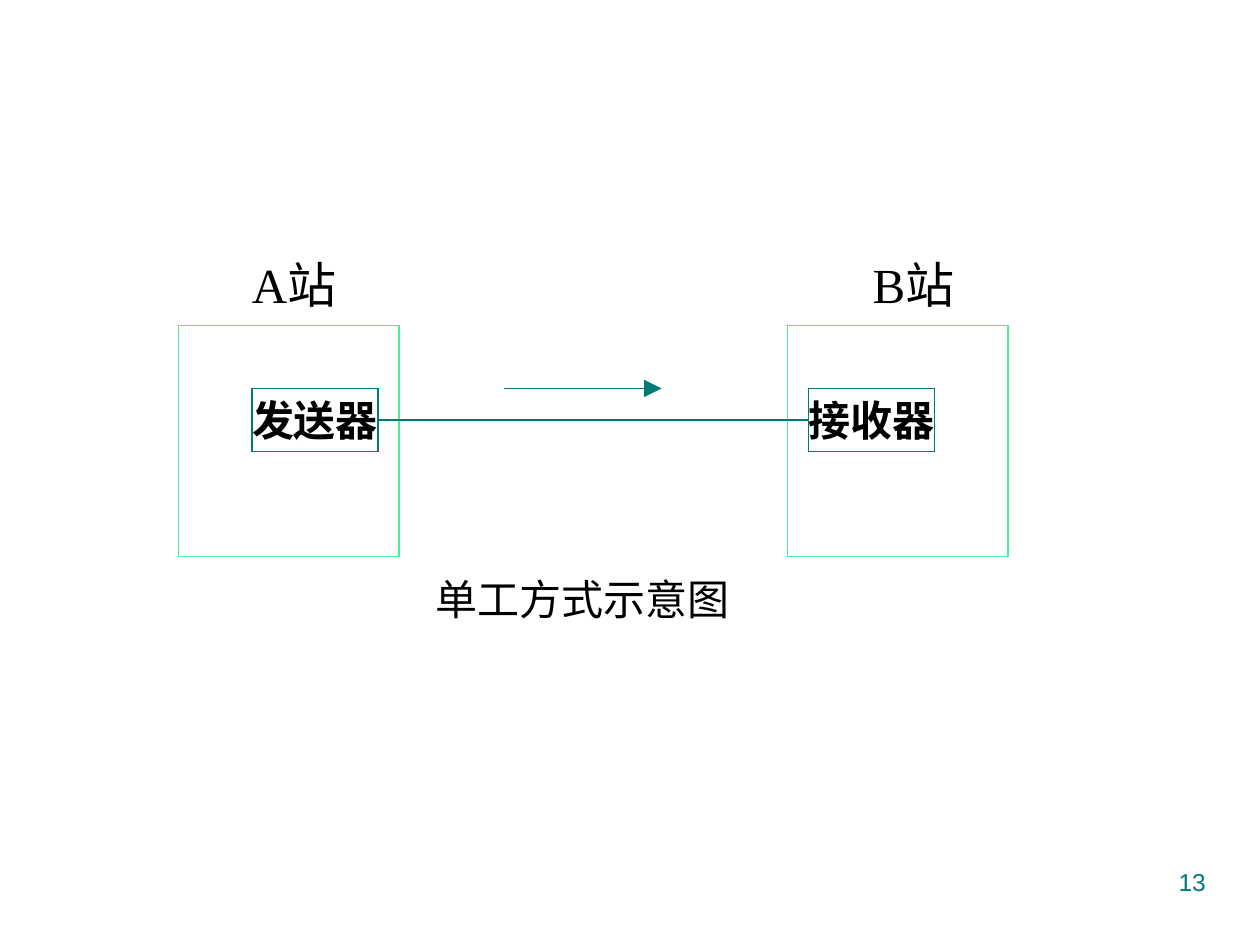
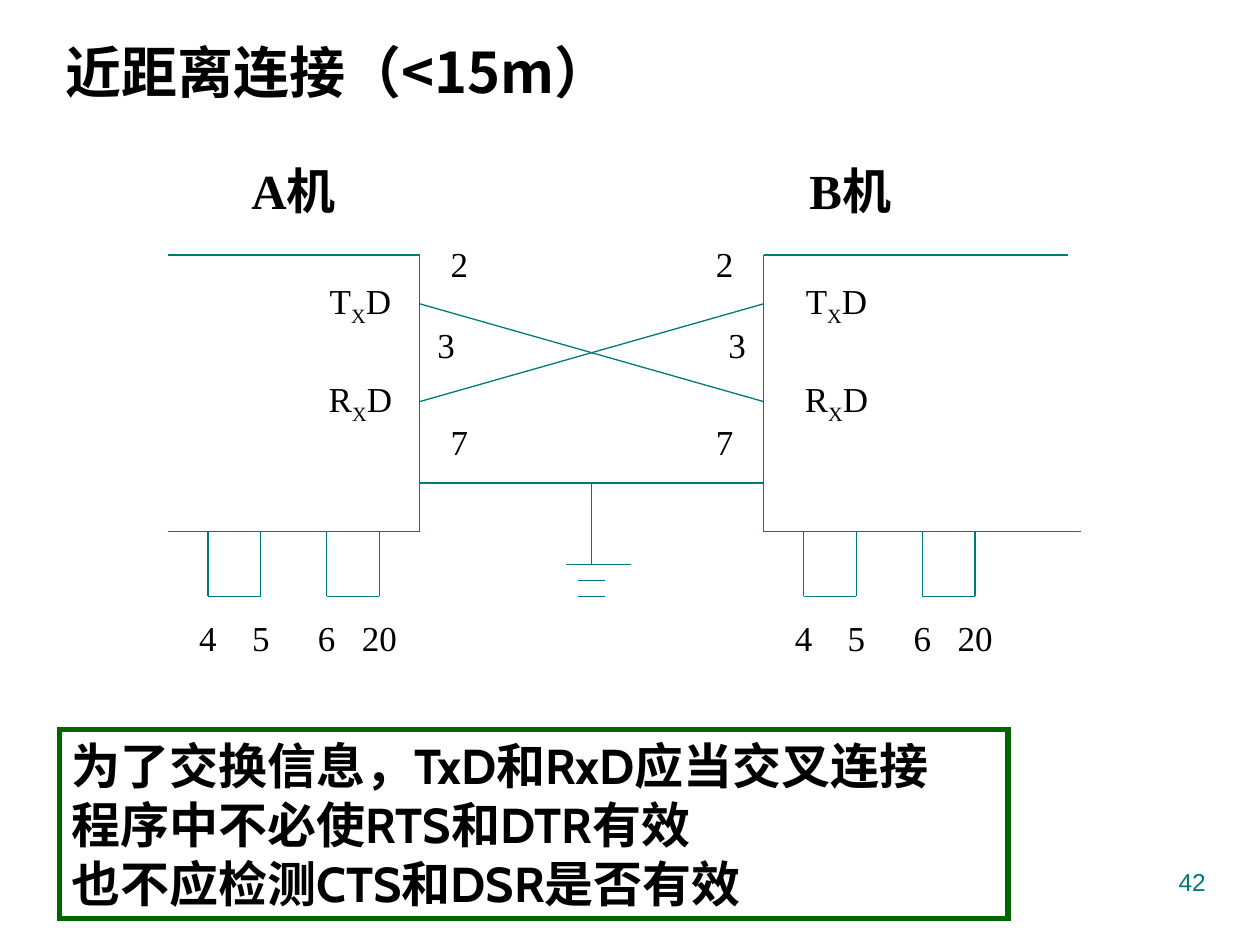
"""Build two serial communication slides: simplex mode and a short-distance link."""
from typing import NamedTuple

import pptx
import pptx.dml.color
import pptx.enum.lang
import pptx.enum.shapes
import pptx.enum.text
import pptx.oxml
import pptx.oxml.ns
import pptx.util

Pt = pptx.util.Pt
ALIGN = pptx.enum.text.PP_ALIGN
ANCHOR = pptx.enum.text.MSO_ANCHOR
COLORS = {"text": "000000", "teal": "007A77", "station": "49EF94", "frame": "006600"}
SERIF, SANS, LATIN, CJK = "Times New Roman", "Arial", "Cabin", "Noto Sans CJK SC"


class Box(NamedTuple):
    x: float
    y: float
    w: float
    h: float


class Station(NamedTuple):
    name: str
    label_x: float
    x: float
    device: str
    device_x: float


class Machine(NamedTuple):
    name: str
    name_x: float
    edge_x: float
    outer_top_x: float
    outer_bottom_x: float
    signal_x: float
    pin_x: float
    pin3_x: float
    loop_x: float


STATIONS = [
    Station("A站", 132, 102, "发送器", 144),
    Station("B站", 486, 450, "接收器", 462),
]
MACHINES = [
    Machine("A机", 141, 239.8, 96, 96, 179.3, 247.4, 239.8, 118.8),
    Machine("B机", 459.2, 436.4, 610.5, 618, 451.4, 398.9, 406.1, 459.2),
]
TOP, TXD, RXD, GROUND, BOTTOM, LOOP = 145.7, 173.6, 229.5, 276, 303.8, 340.8
LOOPS = [(0, "4", "5"), (67.8, "6", "20")]
LOOP_WIDTH = 30.2
LABEL_SLACK = 6
NOTES = [
    ["为了交换信息，", "TxD", "和", "RxD", "应当交叉连接"],
    ["程序中不必使", "RTS", "和", "DTR", "有效"],
    ["也不应检测", "CTS", "和", "DSR", "是否有效"],
]


def rgb(name: str):
    return pptx.dml.color.RGBColor.from_string(COLORS[name])


def make_xml(tag: str, attributes: str = ""):
    return pptx.oxml.parse_xml(f'<a:{tag} {pptx.oxml.ns.nsdecls("a")} {attributes}/>')


def add_run(p, text: str, *, size: float, font: str = SERIF, color: str = "text",
            bold: bool = False, baseline: int = 0):
    r = p.add_run()
    r.text = text
    r.font.size, r.font.name, r.font.bold = Pt(size), font, bold
    r.font.color.rgb = rgb(color)
    r.font.language_id = pptx.enum.lang.MSO_LANGUAGE_ID.SIMPLIFIED_CHINESE
    if baseline:
        r.font._element.set("baseline", str(baseline * 1000))
    return r


def add_label(slide, box: Box, text: str, **fmt):
    """Add a centred one-line label with slack on both sides of its box."""
    sp = slide.shapes.add_textbox(
        Pt(box.x - LABEL_SLACK), Pt(box.y), Pt(box.w + 2 * LABEL_SLACK), Pt(box.h))
    tf = sp.text_frame
    tf.word_wrap, tf.vertical_anchor = False, ANCHOR.MIDDLE
    tf.margin_left = tf.margin_right = 0
    p = tf.paragraphs[0]
    p.alignment = ALIGN.CENTER
    add_run(p, text, **fmt)
    return p


def add_rect(slide, box: Box, color: str, width: float = 0.75):
    sp = slide.shapes.add_shape(pptx.enum.shapes.MSO_SHAPE.RECTANGLE, *map(Pt, box))
    sp.shadow.inherit = False
    sp.fill.background()
    sp.line.color.rgb, sp.line.width = rgb(color), Pt(width)
    sp.line._get_or_add_ln().append(make_xml("miter", 'lim="800000"'))
    return sp


def add_line(slide, x1: float, y1: float, x2: float, y2: float, arrow: bool = False) -> None:
    sp = slide.shapes.add_connector(
        pptx.enum.shapes.MSO_CONNECTOR.STRAIGHT, Pt(x1), Pt(y1), Pt(x2), Pt(y2))
    sp.line.color.rgb, sp.line.width = rgb("teal"), Pt(0.75)
    if arrow:
        sp.line._get_or_add_ln().append(
            make_xml("tailEnd", 'type="triangle" w="lg" len="lg"'))
    sp._element.spPr.append(make_xml("effectLst"))


def add_page_number(slide, number: int) -> None:
    tf = slide.shapes.add_textbox(*map(Pt, Box(516.2, 492, 180, 37.5))).text_frame
    tf.word_wrap = True
    p = tf.paragraphs[0]
    p.alignment = ALIGN.RIGHT
    add_run(p, str(number), size=14, font=SANS, color="teal")


def add_title(slide, text: str) -> None:
    sp = slide.shapes.title
    sp.left, sp.top, sp.width, sp.height = map(Pt, Box(30, 18, 360, 84))
    tf = sp.text_frame
    tf.vertical_anchor = ANCHOR.TOP
    p = tf.paragraphs[0]
    p.alignment = ALIGN.LEFT
    add_run(p, text, size=32, font=CJK, bold=True)


def build_simplex(prs) -> None:
    slide = prs.slides.add_slide(prs.slide_layouts[6])
    for station in STATIONS:
        device = Box(station.device_x, 222, 72, 36)
        add_rect(slide, Box(station.x, 186, 126, 132), "station")
        add_rect(slide, device, "teal")
        add_label(slide, device, station.device, size=24, bold=True)
        add_label(slide, Box(station.label_x, 144, 72, 36), station.name, size=28)
    add_line(slide, 216, 240, 462, 240)
    add_line(slide, 288, 222, 378, 222, arrow=True)
    add_label(slide, Box(192, 324, 282, 36), "单工方式示意图", size=24)
    add_page_number(slide, 13)


def add_machine(slide, m: Machine) -> None:
    add_line(slide, m.outer_top_x, TOP, m.edge_x, TOP)
    add_line(slide, m.edge_x, TOP, m.edge_x, BOTTOM)
    add_line(slide, m.edge_x, BOTTOM, m.outer_bottom_x, BOTTOM)
    add_label(slide, Box(m.name_x, 90, 53.3, 37.4), m.name, size=28, bold=True)
    for letter, y in (("T", TXD), ("R", RXD)):
        p = add_label(slide, Box(m.signal_x, y - 18.7, 53.3, 37.4), letter, size=20)
        add_run(p, "X", size=20, baseline=-25)
        add_run(p, "D", size=20)
    for pin, x, y in (("2", m.pin_x, 136.4), ("3", m.pin3_x, 183), ("7", m.pin_x, 238.3)):
        add_label(slide, Box(x, y, 30.2, 28), pin, size=20)
    for offset, *pins in LOOPS:
        left = m.loop_x + offset
        add_line(slide, left, LOOP, left + LOOP_WIDTH, LOOP)
        for i, pin in enumerate(pins):
            x = left + i * LOOP_WIDTH
            add_line(slide, x, BOTTOM, x, LOOP)
            add_label(slide, Box(x - 15.1, 350.3, 30.2, 28), pin, size=20)


def build_link(prs) -> None:
    slide = prs.slides.add_slide(prs.slide_layouts[5])
    add_title(slide, "近距离连接（<15m）")
    for machine in MACHINES:
        add_machine(slide, machine)
    left, right = (m.edge_x for m in MACHINES)
    middle = (left + right) / 2
    add_line(slide, left, TXD, right, RXD)
    add_line(slide, right, TXD, left, RXD)
    add_line(slide, left, GROUND, right, GROUND)
    add_line(slide, middle, GROUND, middle, 322.5)
    for x1, x2, y in ((323.2, 360.8, 322.5), (330.5, 345.8, 331.7), (330.5, 345.8, LOOP)):
        add_line(slide, x1, y, x2, y)
    tf = add_rect(slide, Box(34, 417, 542, 108), "frame", 3).text_frame
    tf.word_wrap, tf.vertical_anchor = True, ANCHOR.TOP
    for i, note in enumerate(NOTES):
        p = tf.add_paragraph() if i else tf.paragraphs[0]
        p.alignment = ALIGN.LEFT
        for text in note:
            add_run(p, text, size=28, font=LATIN if text.isascii() else SERIF, bold=True)
    add_page_number(slide, 42)


def main() -> None:
    prs = pptx.Presentation()
    prs.slide_width, prs.slide_height = Pt(720), Pt(540)
    build_simplex(prs)
    build_link(prs)
    prs.save("out.pptx")


if __name__ == "__main__":
    main()
